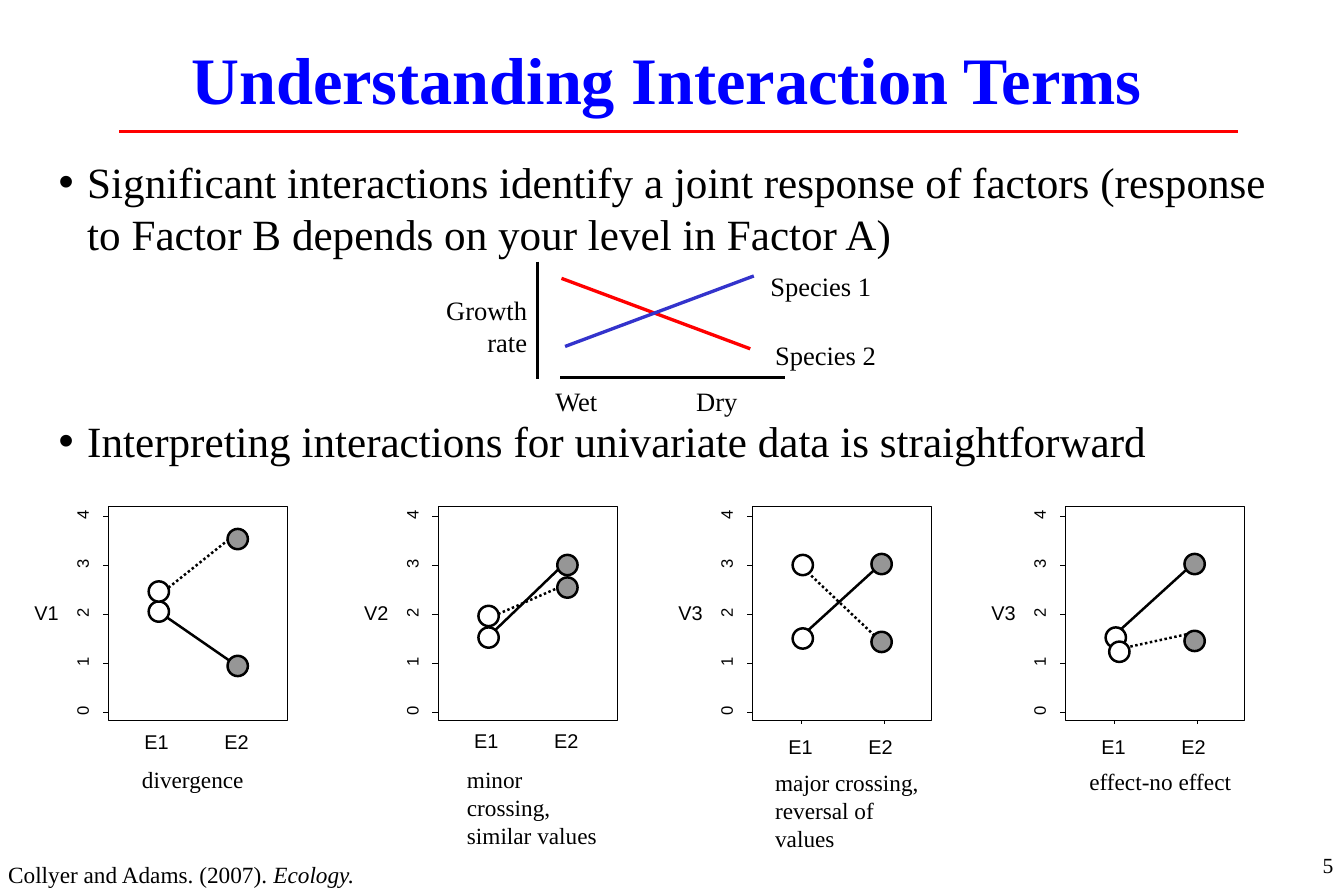
from lxml import etree
from pptx import Presentation
from pptx.dml import color
from pptx.enum import dml, shapes, text
from pptx.oxml import ns
from pptx.util import Inches, Pt

SERIF, SANS = "Times New Roman", "Arial"
HUES = {"ink": "000000", "title": "0000FF", "red": "FF0000",
        "blue": "3333CC", "open": "FFFFFF", "grey": "969696"}

TITLE = "Understanding Interaction Terms"
POINTS = [
    "Significant interactions identify a joint response of factors "
    "(response to Factor B depends on your level in Factor A)",
    "Interpreting interactions for univariate data is straightforward",
]
# Start x, y, end x, y, colour, points
RULES = [
    (1, 1.1, 10.36, 1.1, "red", 1.5),
    (4.5, 2.19, 4.5, 3.17, "ink", 2),
    (4.69, 3.16, 6.57, 3.16, "ink", 2),
    (4.7, 2.33, 6.28, 2.92, "red", 2),
    (6.31, 2.31, 4.73, 2.9, "blue", 2),
]
# Left, top, width, height, words
GROWTH = [
    (4.55, 3.17, 0.8, 0.37, "Wet"),
    (5.73, 3.17, 0.8, 0.37, "Dry"),
    (6.35, 2.21, 1.13, 0.37, "Species 1"),
    (6.39, 2.79, 1.13, 0.37, "Species 2"),
]
CAPTIONS = [
    (1.09, 6.36, 1.2, 0.33, "divergence"),
    (3.81, 6.36, 1.38, 0.8, "minor crossing,\nsimilar values"),
    (6.39, 6.38, 1.5, 0.8, "major crossing,\nreversal of values"),
    (9.02, 6.37, 1.5, 0.33, "effect-no effect"),
]
# Lines are x from the frame's left and y on the slide;
# dots are x from the frame's left and the value on the axis.
PANELS = [
    {"name": "V1", "left": 0.91, "foot": 6.06, "ticks": [],
     "solid": (0.49, 5.17, 1.04, 5.55), "dotted": (0.5, 4.92, 1, 4.52),
     "open": [(0.42, 2.05), (0.42, 2.46)], "grey": [(1.08, 0.94), (1.08, 3.53)]},
    {"name": "V2", "left": 3.67, "foot": 6.05, "ticks": [],
     "solid": (0.48, 5.27, 1.01, 4.76), "dotted": (0.5, 5.14, 0.98, 4.93),
     "open": [(0.42, 1.52), (0.42, 1.96)], "grey": [(1.08, 2.54), (1.08, 3)]},
    {"name": "V3", "left": 6.3, "foot": 6.1, "ticks": [0.41, 1.1],
     "solid": (0.46, 5.28, 1.02, 4.77), "dotted": (0.46, 4.79, 1.02, 5.32),
     "open": [(0.42, 1.5), (0.42, 3)], "grey": [(1.08, 1.43), (1.08, 3.02)]},
    {"name": "V3", "left": 8.92, "foot": 6.1, "ticks": [0.41, 1.1],
     "solid": (0.46, 5.27, 1.01, 4.77), "dotted": (0.46, 5.43, 1.01, 5.31),
     "open": [(0.42, 1.52), (0.45, 1.23)], "grey": [(1.08, 1.45), (1.08, 3.02)]},
]
TOP, WIDE, HIGH = 4.24, 1.5, 1.79
ZERO, STEP, DOT = 5.96, 0.41, 0.17

deck = Presentation()
deck.slide_width, deck.slide_height = Inches(11.25), Inches(7.5)
slide = deck.slides.add_slide(deck.slide_layouts[1])


def rgb(hue):
    return color.RGBColor.from_string(HUES[hue])


def place(shape, *box):
    shape.left, shape.top, shape.width, shape.height = map(Inches, box)


def style(frame, size, font=SERIF, hue="ink", bold=False, align=None):
    for para in frame.paragraphs:
        para.alignment = align
        for run in para.runs:
            run.font.size, run.font.name = Pt(size), font
            run.font.bold = bold
            run.font.color.rgb = rgb(hue)


def label(x, y, w, h, words, size, font=SERIF, align=None):
    box = slide.shapes.add_textbox(*map(Inches, (x, y, w, h)))
    frame = box.text_frame
    frame.word_wrap = True
    frame.text = words
    style(frame, size, font, align=align)
    return box


def line(x1, y1, x2, y2, hue="ink", width=1.5, dotted=False):
    link = slide.shapes.add_connector(
        shapes.MSO_CONNECTOR.STRAIGHT, *map(Inches, (x1, y1, x2, y2)))
    link.line.color.rgb, link.line.width = rgb(hue), Pt(width)
    if dotted:
        link.line.dash_style = dml.MSO_LINE.ROUND_DOT
    etree.SubElement(link._element.spPr, ns.qn("a:effectLst"))


def outline(kind, x, y, w, h, width, fill=None):
    shape = slide.shapes.add_shape(kind, *map(Inches, (x, y, w, h)))
    shape.shadow.inherit = False
    shape.line.color.rgb, shape.line.width = rgb("ink"), Pt(width)
    if fill:
        shape.fill.solid()
        shape.fill.fore_color.rgb = rgb(fill)
    else:
        shape.fill.background()


def scale(left):
    for value in range(5):
        y = ZERO - STEP * value
        line(left, y, left - 0.05, y, width=0.38)
        mark = label(left - 0.26, y - 0.1, 0.08, 0.17, str(value), 10, SANS)
        mark.rotation = 270
        frame = mark.text_frame
        frame.word_wrap = False
        frame.margin_left = frame.margin_right = 0
        frame.margin_top = frame.margin_bottom = 0


def plot(panel):
    left = panel["left"]
    scale(left)
    for x in panel["ticks"]:
        line(left + x, TOP + HIGH, left + x, TOP + HIGH + 0.03, width=0.38)
    outline(shapes.MSO_SHAPE.RECTANGLE, left, TOP, WIDE, HIGH, 0.38)
    for kind in ("solid", "dotted"):
        x1, y1, x2, y2 = panel[kind]
        line(left + x1, y1, left + x2, y2, dotted=kind == "dotted")
    for fill in ("open", "grey"):
        for x, value in panel[fill]:
            outline(shapes.MSO_SHAPE.OVAL, left + x - DOT / 2,
                    ZERO - STEP * value - DOT / 2, DOT, DOT, 1.5, fill)
    for x, y, words in [(-0.72, 4.98, panel["name"]),
                        (0.2, panel["foot"], "E1"), (0.87, panel["foot"], "E2")]:
        label(left + x, y, 0.42, 0.3, words, 12, SANS)


title, body = slide.placeholders
place(title, 0.52, 0.11, 10.12, 1.25)
title.text_frame.text = TITLE
title.text_frame.vertical_anchor = text.MSO_ANCHOR.MIDDLE
title.text_frame.paragraphs[0].line_spacing = 0.7
style(title.text_frame, 40, hue="title", bold=True, align=text.PP_ALIGN.CENTER)

place(body, 0.39, 1.25, 10.55, 2.7)
body.text_frame.text = "\n".join(POINTS)
body.text_frame.auto_size = text.MSO_AUTO_SIZE.NONE
style(body.text_frame, 26)
for para, gap in zip(body.text_frame.paragraphs, (0, 94)):
    para.space_before = Pt(gap)
    props = para._p.get_or_add_pPr()
    props.set("marL", str(Inches(0.24)))
    props.set("indent", str(-Inches(0.24)))

for rule in RULES:
    line(*rule)
for item in GROWTH:
    label(*item, 16)
label(3.59, 2.41, 0.92, 0.64, "Growth rate", 16, align=text.PP_ALIGN.RIGHT)
for panel in PANELS:
    plot(panel)
for item in CAPTIONS:
    label(*item, 14)

credit = label(-0.03, 7.15, 3.4, 0.33, "Collyer and Adams. (2007). ", 14)
run = credit.text_frame.paragraphs[0].add_run()
run.text = "Ecology."
style(credit.text_frame, 14)
run.font.italic = True

page = label(8.92, 6.99, 2.34, 0.5, "5", 13, align=text.PP_ALIGN.RIGHT)
page.text_frame.vertical_anchor = text.MSO_ANCHOR.MIDDLE

deck.save("out.pptx")
